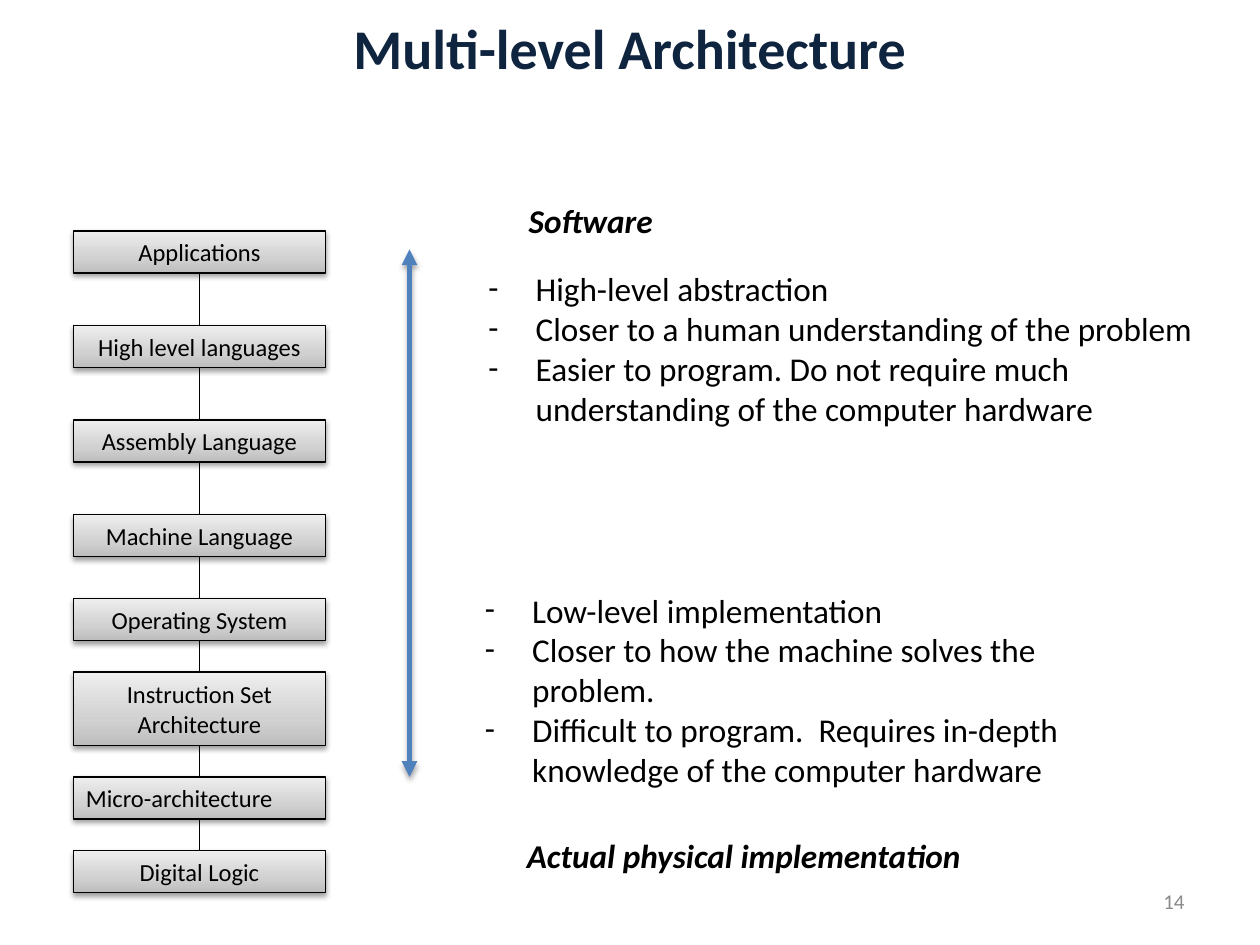
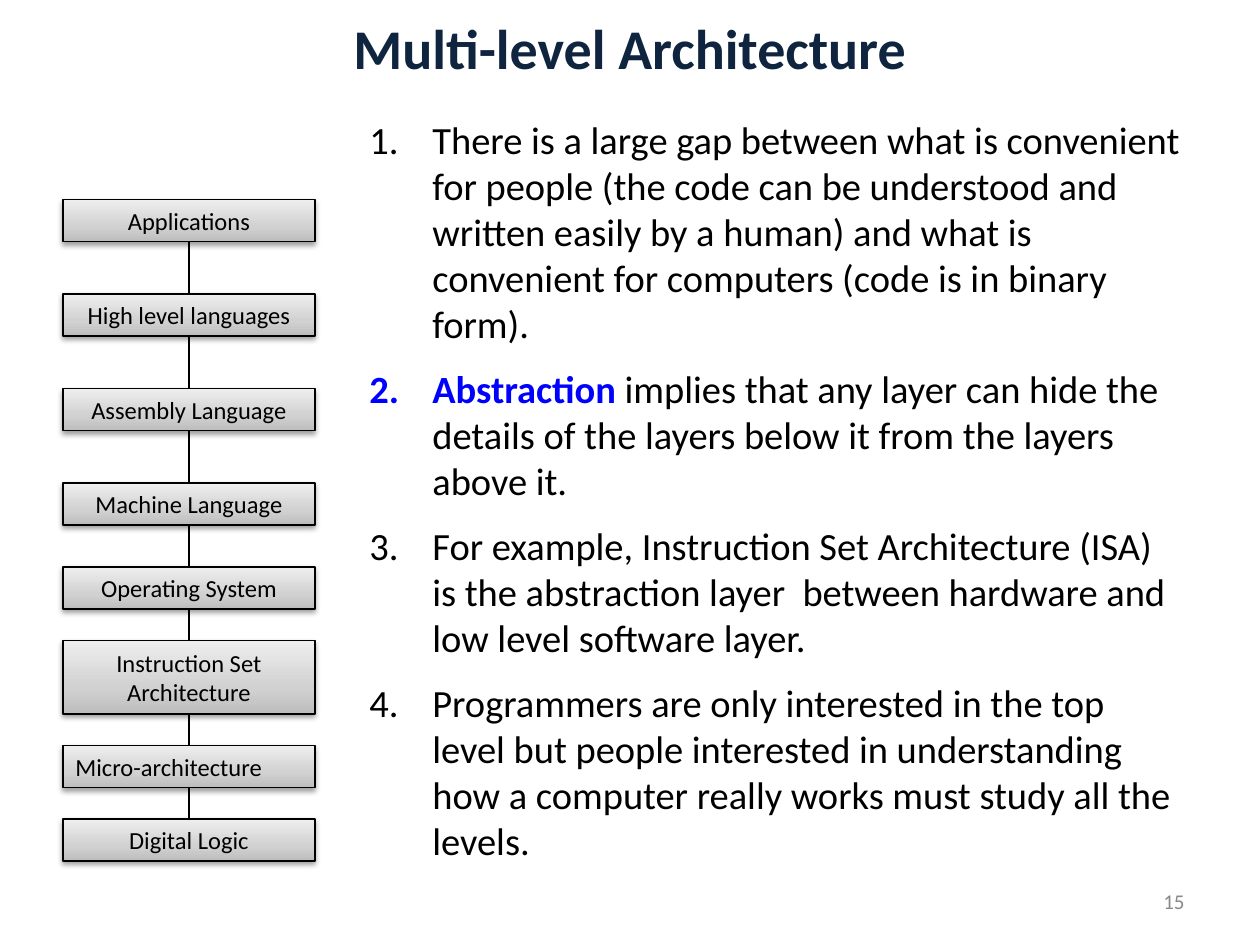
from copy import deepcopy

from lxml import etree
from pptx import Presentation
from pptx.dml.color import RGBColor
from pptx.enum import shapes, text
from pptx.oxml import ns
from pptx.util import Pt

COLORS = {
    "title": "0F243E",
    "text": "000000",
    "number": "898989",
    "arrow": "4F81BD",
    "emphasis": "0000FF",
    "line": "000000",
}
FONT = "Calibri"
LAYER_GRADIENT = ((0, "BDBDBD"), (0.35, "D1D1D1"), (1, "EEEEEE"))
LAYER_WIDTH = 144
LAYERS = (
    ("Applications", 24, 30),
    ("High level languages", 24, 30),
    ("Assembly Language", 24, 30),
    ("Machine Language", 24, 24),
    ("Operating System", 24, 18),
    ("Instruction Set Architecture", 42, 18),
    ("Micro-architecture", 24, 18),
    ("Digital Logic", 24, 0),
)
LEFT_ALIGNED = {"Micro-architecture"}
DASH = ("buChar", "char", "-")
NUMBER = ("buAutoNum", "type", "arabicPeriod")


def rgb(name):
    return RGBColor.from_string(COLORS[name])


def add_child(parent, tag, **attributes):
    child = etree.SubElement(parent, ns.qn(f"a:{tag}"))
    for key, value in attributes.items():
        child.set(key, str(value))
    return child


def add_shadow(shape, opacity, distance):
    effects = shape._element.spPr.find(ns.qn("a:effectLst"))
    if effects is None:
        effects = add_child(shape._element.spPr, "effectLst")
    shadow = add_child(effects, "outerShdw", blurRad=Pt(3.1), dist=Pt(distance),
                       dir=90 * 60000, rotWithShape=0)
    color = add_child(shadow, "srgbClr", val="000000")
    add_child(color, "alpha", val=opacity * 1000)


def add_run(paragraph, wording, size, color="text", bold=False, italic=False):
    run = paragraph.add_run()
    run.text = wording
    run.font.name = FONT
    run.font.size = Pt(size)
    run.font.bold = bold
    run.font.italic = italic
    run.font.color.rgb = rgb(color)


def add_text_box(slide, left, top, width, height, anchor=text.MSO_ANCHOR.TOP):
    box = slide.shapes.add_textbox(Pt(left), Pt(top), Pt(width), Pt(height))
    box.text_frame.word_wrap = True
    box.text_frame.vertical_anchor = anchor
    return box.text_frame


def add_label(slide, bounds, wording, size, color, alignment, bold=False):
    frame = add_text_box(slide, *bounds, text.MSO_ANCHOR.MIDDLE)
    paragraph = frame.paragraphs[0]
    paragraph.alignment = alignment
    add_run(paragraph, wording, size, color, bold)


def add_heading(slide, left, top, wording):
    frame = add_text_box(slide, left, top, 414, 30)
    paragraph = frame.paragraphs[0]
    paragraph._p.get_or_add_pPr().set("marL", str(Pt(36)))
    add_run(paragraph, wording, 19, bold=True, italic=True)


def add_list(slide, bounds, items, bullet, size, margin, hanging, gap=0):
    frame = add_text_box(slide, *bounds)
    tag, key, value = bullet
    for index, runs in enumerate(items):
        paragraph = frame.add_paragraph() if index else frame.paragraphs[0]
        properties = paragraph._p.get_or_add_pPr()
        properties.set("marL", str(Pt(margin)))
        properties.set("indent", str(-Pt(hanging)))
        add_child(properties, "buFont", typeface=FONT)
        add_child(properties, tag, **{key: value})
        if index and gap:
            paragraph.space_before = Pt(gap)
        for wording, color in runs:
            add_run(paragraph, wording, size, color, bold=color == "emphasis")


def add_line(slide, start, end, color, width):
    line = slide.shapes.add_connector(shapes.MSO_CONNECTOR.STRAIGHT,
                                      *(Pt(value) for value in start + end))
    line.line.color.rgb = rgb(color)
    line.line.width = Pt(width)
    add_child(line._element.spPr, "effectLst")
    return line


def add_double_arrow(slide, start, end):
    arrow = add_line(slide, start, end, "arrow", 3)
    outline = arrow._element.spPr.find(ns.qn("a:ln"))
    for tag in ("headEnd", "tailEnd"):
        add_child(outline, tag, type="triangle")
    add_shadow(arrow, 35, 1.8)


def add_layer(slide, left, top, height, wording):
    layer = slide.shapes.add_shape(shapes.MSO_SHAPE.RECTANGLE, Pt(left), Pt(top),
                                   Pt(LAYER_WIDTH), Pt(height))
    layer.fill.gradient()
    layer.fill.gradient_angle = 90
    stops = layer._element.spPr.find(".//" + ns.qn("a:gsLst"))
    stops.insert(1, deepcopy(stops[0]))
    for stop, (position, color) in zip(layer.fill.gradient_stops, LAYER_GRADIENT):
        stop.position = position
        stop.color.rgb = RGBColor.from_string(color)
    layer.line.color.rgb = rgb("line")
    layer.line.width = Pt(0.75)
    layer.shadow.inherit = False
    add_shadow(layer, 38, 1.6)
    frame = layer.text_frame
    frame.word_wrap = True
    frame.vertical_anchor = text.MSO_ANCHOR.MIDDLE
    paragraph = frame.paragraphs[0]
    left_aligned = wording in LEFT_ALIGNED
    paragraph.alignment = text.PP_ALIGN.LEFT if left_aligned else text.PP_ALIGN.CENTER
    add_run(paragraph, wording, 14)
    return layer


def add_layer_stack(slide, left, top):
    previous = None
    for wording, height, gap in LAYERS:
        layer = add_layer(slide, left, top, height, wording)
        if previous is not None:
            link = add_line(slide, (0, 0), (0, 0), "line", 0.75)
            link.begin_connect(previous, 2)
            link.end_connect(layer, 0)
        previous = layer
        top += height + gap


def add_base_slide(presentation, number):
    slide = presentation.slides.add_slide(presentation.slide_layouts[6])
    add_label(slide, (0, 0, 720, 54), "Multi-level Architecture", 32, "title",
              text.PP_ALIGN.CENTER, bold=True)
    add_label(slide, (516, 500.5, 168, 28.75), number, 12, "number",
              text.PP_ALIGN.RIGHT)
    return slide


def plain(*items):
    return [[(item, "text")] for item in items]


def build_levels_slide(presentation):
    slide = add_base_slide(presentation, "14")
    add_layer_stack(slide, 42, 132)
    add_double_arrow(slide, (234, 444), (234, 142.5))
    add_heading(slide, 259, 111, "Software")
    add_list(slide, (236, 150, 460, 99), plain(
        "High-level abstraction",
        "Closer to a human understanding of the problem",
        "Easier to program. Do not require much understanding of the computer hardware",
    ), DASH, 19, 63, 27)
    add_list(slide, (234, 333.5, 414, 122), plain(
        "Low-level implementation",
        "Closer to how the machine solves the problem.",
        "Difficult to program.  Requires in-depth knowledge of the computer hardware",
    ), DASH, 19, 63, 27)
    add_heading(slide, 258, 474, "Actual physical implementation")


def build_abstraction_slide(presentation):
    slide = add_base_slide(presentation, "15")
    add_layer_stack(slide, 36, 114)
    items = plain(
        "There is a large gap between what is convenient for people (the code can be "
        "understood and written easily by a human) and what is convenient for "
        "computers (code is in binary form).",
        "implies that any layer can hide the details of the layers below it from the "
        "layers above it.",
        "For example, Instruction Set Architecture (ISA) is the abstraction layer  "
        "between hardware and low level software layer.",
        "Programmers are only interested in the top level but people interested in "
        "understanding how a computer really works must study all the levels.",
    )
    items[1].insert(0, ("Abstraction ", "emphasis"))
    add_list(slide, (204, 62.5, 480, 447), items, NUMBER, 22, 36, 36, gap=10.5)


def main():
    presentation = Presentation()
    presentation.slide_width = Pt(720)
    presentation.slide_height = Pt(540)
    build_levels_slide(presentation)
    build_abstraction_slide(presentation)
    presentation.save("out.pptx")


if __name__ == "__main__":
    main()
